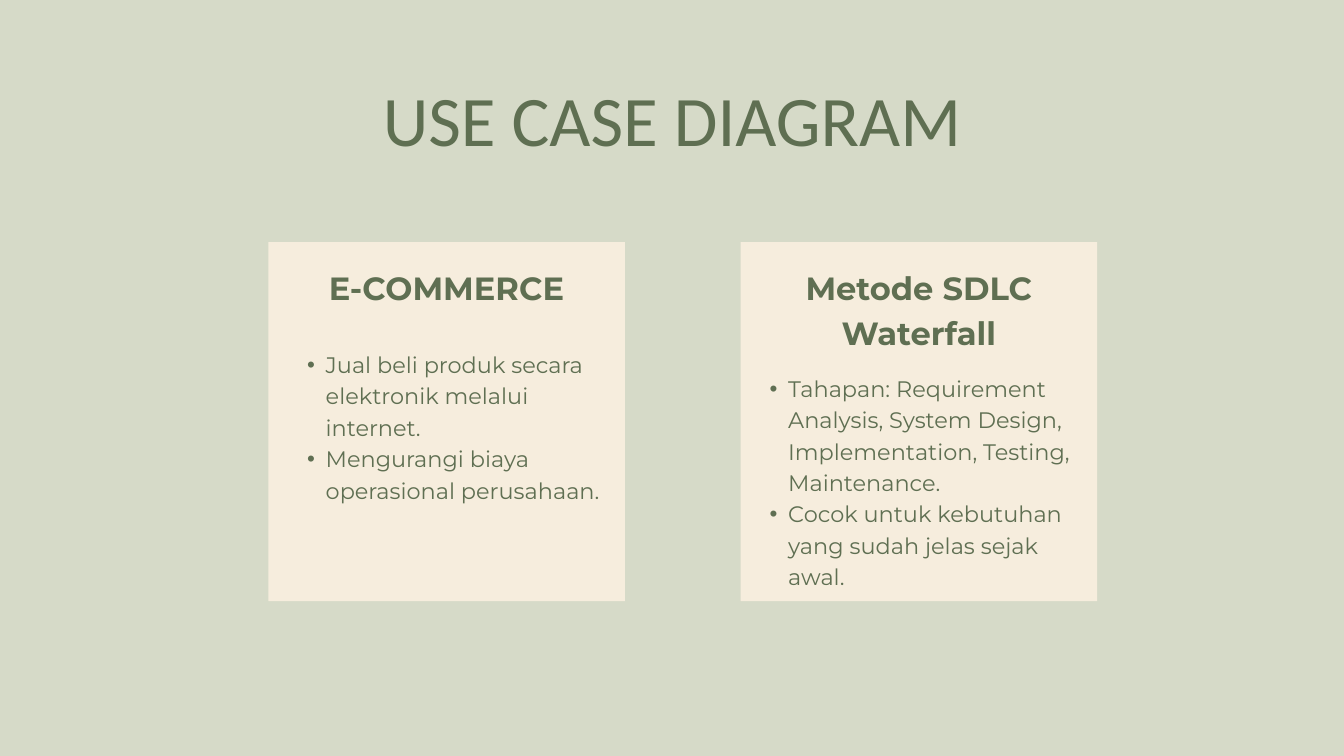
from dataclasses import dataclass

from lxml import etree
from pptx import Presentation
from pptx import util as u
from pptx.dml.color import RGBColor
from pptx.enum import shapes, text
from pptx.oxml.ns import qn


@dataclass(frozen=True)
class Theme:
    background: str = "D6DAC8"
    card: str = "F6EDDD"
    ink: str = "5F6F52"
    title_font: str = "Calibri"
    body_font: str = "Montserrat"
    title_size: float = 76.1
    heading_size: float = 34.4
    body_size: float = 24


THEME = Theme()
CARD_TOP, CARD_WIDTH, CARD_HEIGHT = 259.5, 382, 384.5


def set_bullet(para, indent=41, hanging=20):
    props = para._p.get_or_add_pPr()
    props.set("marL", str(u.Pt(indent)))
    props.set("indent", str(-u.Pt(hanging)))
    etree.SubElement(props, qn("a:buFont")).set("typeface", "Arial")
    etree.SubElement(props, qn("a:buChar")).set("char", "•")


def add_text(page, lines, left, top, width, height, *, size, spacing,
             font=THEME.body_font, bold=False, bullets=False):
    box = page.shapes.add_textbox(u.Pt(left), u.Pt(top), u.Pt(width), u.Pt(height))
    frame = box.text_frame
    frame.word_wrap = True
    frame.margin_left = frame.margin_right = 0
    frame.margin_top = frame.margin_bottom = 0
    for index, line in enumerate(lines):
        para = frame.add_paragraph() if index else frame.paragraphs[0]
        if bullets:
            para.level = 1
            set_bullet(para)
        para.alignment = text.PP_ALIGN.LEFT if bullets else text.PP_ALIGN.CENTER
        para.line_spacing = u.Pt(spacing)
        span = para.add_run()
        span.text = line
        span.font.name = font
        span.font.size = u.Pt(size)
        span.font.bold = bold
        span.font.color.rgb = RGBColor.from_string(THEME.ink)


def add_card(page, left, heading, heading_height, points, body):
    """Draw a panel with a heading and bullets; body is inset, top, width, height."""
    panel = page.shapes.add_shape(shapes.MSO_SHAPE.RECTANGLE, u.Pt(left), u.Pt(CARD_TOP),
                                  u.Pt(CARD_WIDTH), u.Pt(CARD_HEIGHT))
    panel.shadow.inherit = False
    panel.fill.solid()
    panel.fill.fore_color.rgb = RGBColor.from_string(THEME.card)
    panel.line.fill.background()

    inset, top, width, height = body
    add_text(page, points, left + inset, top, width, height,
             size=THEME.body_size, spacing=33.6, bullets=True)
    add_text(page, [heading], left + 28, 281, 326, heading_height,
             size=THEME.heading_size, spacing=48.1, bold=True)


def main():
    deck = Presentation()
    deck.slide_width, deck.slide_height = u.Pt(1440), u.Pt(810)
    page = deck.slides.add_slide(deck.slide_layouts[6])
    page.background.fill.solid()
    page.background.fill.fore_color.rgb = RGBColor.from_string(THEME.background)

    # Title
    add_text(page, ["USE CASE DIAGRAM"], 81, 80, 1278, 91.5,
             size=THEME.title_size, spacing=92.1, font=THEME.title_font)

    # Topic cards
    add_card(page, 793.5, "Metode SDLC Waterfall", 93.5, [
        "Tahapan: Requirement Analysis, System Design, Implementation, Testing, Maintenance.",
        "Cocok untuk kebutuhan yang sudah jelas sejak awal.",
    ], body=(10, 397, 362, 262))
    add_card(page, 287.5, "E-COMMERCE", 45.5, [
        "Jual beli produk secara elektronik melalui internet.",
        "Mengurangi biaya operasional perusahaan.",
    ], body=(20.5, 371.5, 342, 196))

    deck.save("out.pptx")


if __name__ == "__main__":
    main()
